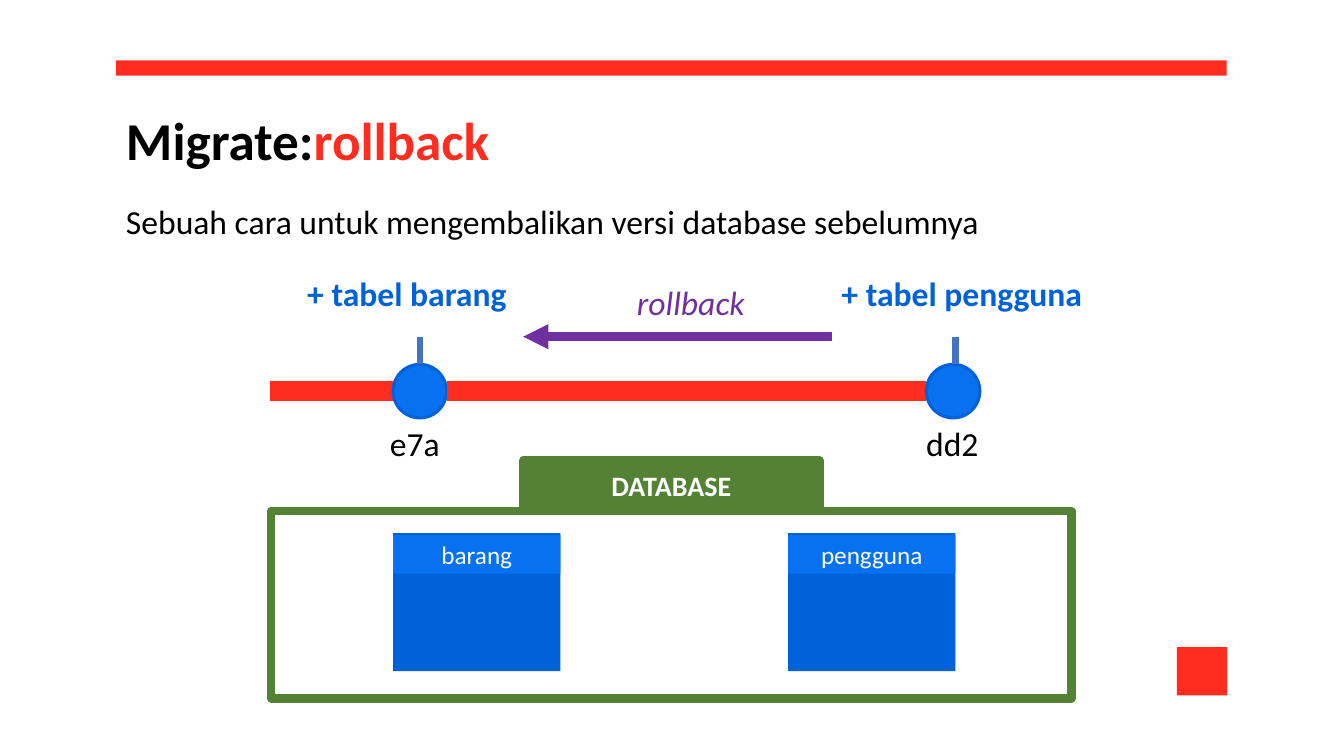
from lxml.etree import SubElement
from pptx import Presentation
from pptx.dml.color import RGBColor
from pptx.enum.shapes import MSO_CONNECTOR as Connector, MSO_SHAPE as Preset
from pptx.enum.text import MSO_ANCHOR as Anchor, MSO_AUTO_SIZE as AutoSize, PP_ALIGN as Align
from pptx.oxml.ns import qn
from pptx.util import Pt

RED = RGBColor(0xFF, 0x2D, 0x20)
BLUE = RGBColor(0x07, 0x71, 0xF1)
DEEP_BLUE = RGBColor(0x00, 0x62, 0xD9)
TICK_BLUE = RGBColor(0x44, 0x72, 0xC4)
GREEN = RGBColor(0x54, 0x82, 0x35)
PURPLE = RGBColor(0x70, 0x30, 0xA0)
BLACK = RGBColor(0, 0, 0)
WHITE = RGBColor(0xFF, 0xFF, 0xFF)

LEFT, WIDTH = 82.8, 793.4
TIMELINE_Y, TIMELINE_START = 279.4, 193
NODE_SIZE = 38.2
NODE_TOP = TIMELINE_Y - NODE_SIZE / 2
TICK_TOP = 240.5
LABEL_HEIGHT = 36
CARD_WIDTH = 119.5

VERSIONS = [
    {"node": 280.8, "tick": 300.2, "change": "+ tabel barang", "change_box": (212.4, 175.7),
     "commit": "e7a", "commit_left": 271.4, "table": "barang", "card": 280.8},
    {"node": 661.7, "tick": 682.6, "change": "+ tabel pengguna", "change_box": (594, 192.2),
     "commit": "dd2", "commit_left": 654.5, "table": "pengguna", "card": 563},
]


def apply_format(target, values):
    for name, value in values.items():
        setattr(target, name, value)


def write(frame, wording, size, align=Align.LEFT, anchor=Anchor.TOP, **style):
    apply_format(frame, {"word_wrap": True, "auto_size": AutoSize.NONE,
                         "vertical_anchor": anchor})
    paragraph = frame.paragraphs[0]
    apply_format(paragraph, {"alignment": align, "space_before": Pt(0)})
    for words, color in wording:
        run = paragraph.add_run()
        run.text = words
        apply_format(run.font, {"name": "Calibri", "size": Pt(size), **style})
        run.font.color.rgb = color
    return paragraph


def place(holder, left, top, width, height):
    apply_format(holder, {"left": Pt(left), "top": Pt(top),
                          "width": Pt(width), "height": Pt(height)})


def add_label(shapes, words, left, top, width, color, **style):
    label = shapes.add_textbox(Pt(left), Pt(top), Pt(width), Pt(LABEL_HEIGHT))
    write(label.text_frame, [(words, color)], 24, **style)


def add_block(shapes, preset, box, fill=None, outline=None, weight=0):
    block = shapes.add_shape(preset, *map(Pt, box))
    block.shadow.inherit = False
    if fill is None:
        block.fill.background()
    else:
        block.fill.solid()
        block.fill.fore_color.rgb = fill
    if outline is None:
        block.line.fill.background()
    else:
        block.line.color.rgb = outline
        block.line.width = Pt(weight)
    if preset == Preset.ROUNDED_RECTANGLE:
        block.adjustments[0] = 0
    return block


def add_stroke(shapes, start, end, color, weight, arrow=False):
    stroke = shapes.add_connector(Connector.STRAIGHT, *map(Pt, start + end))
    stroke.line.color.rgb = color
    stroke.line.width = Pt(weight)
    if arrow:
        SubElement(stroke.line._get_or_add_ln(), qn("a:tailEnd"), type="triangle")
    SubElement(stroke._element.spPr, qn("a:effectLst"))


def add_heading(slide):
    title, summary = slide.placeholders
    place(title, LEFT, 72.7, WIDTH, 53.3)
    write(title.text_frame, [("Migrate:", BLACK), ("rollback", RED)], 38, bold=True)
    place(summary, LEFT, 139.7, 729.4, LABEL_HEIGHT)
    sentence = write(summary.text_frame, [
        ("Sebuah cara untuk mengembalikan versi database sebelumnya", BLACK)], 24)
    properties = sentence._p.get_or_add_pPr()
    properties.set("marL", "0")
    properties.set("indent", "0")
    SubElement(properties, qn("a:buNone"))


def add_version(shapes, version, line_start):
    node = version["node"]
    add_stroke(shapes, (line_start, TIMELINE_Y), (node, TIMELINE_Y), RED, 14.25)
    add_block(shapes, Preset.OVAL, (node, NODE_TOP, NODE_SIZE, NODE_SIZE),
              BLUE, DEEP_BLUE, 2.25)
    add_stroke(shapes, (version["tick"], TICK_TOP), (version["tick"], NODE_TOP), TICK_BLUE, 4.5)
    change_left, change_width = version["change_box"]
    add_label(shapes, version["change"], change_left, 191.5, change_width, DEEP_BLUE, bold=True)
    add_label(shapes, version["commit"], version["commit_left"], 298.8, 56.9, BLACK)
    return node + NODE_SIZE


def add_table_card(shapes, name, left):
    card = shapes.add_group_shape().shapes
    add_block(card, Preset.ROUNDED_RECTANGLE, (left, 380.9, CARD_WIDTH, 98.6), DEEP_BLUE)
    header = add_block(card, Preset.ROUNDED_RECTANGLE, (left, 382.3, CARD_WIDTH, 27.4), BLUE)
    write(header.text_frame, [(name, WHITE)], 18, Align.CENTER, Anchor.MIDDLE)


def add_database(shapes):
    add_block(shapes, Preset.RECTANGLE, (193.7, 365, 571.7, 133.9), None, GREEN, 6)
    for version in VERSIONS:
        add_table_card(shapes, version["table"], version["card"])
    tab = add_block(shapes, Preset.RECTANGLE, (373.7, 329, 211.7, 36), GREEN, GREEN, 6)
    write(tab.text_frame, [("DATABASE", WHITE)], 20, Align.CENTER, Anchor.MIDDLE, bold=True)


def main():
    deck = Presentation()
    apply_format(deck, {"slide_width": Pt(960), "slide_height": Pt(540)})
    slide = deck.slides.add_slide(deck.slide_layouts[1])
    shapes = slide.shapes
    add_heading(slide)
    add_block(shapes, Preset.RECTANGLE, (LEFT, 43.2, WIDTH, 10.8), RED)
    add_block(shapes, Preset.RECTANGLE, (840.6, 462.2, 36, 34.6), RED)
    line_start = TIMELINE_START
    for version in VERSIONS:
        line_start = add_version(shapes, version, line_start)
    add_database(shapes)
    add_stroke(shapes, (594, TICK_TOP), (373.7, TICK_TOP), PURPLE, 6, arrow=True)
    add_label(shapes, "rollback", 447.8, 198, 121, PURPLE, italic=True)
    deck.save("out.pptx")


if __name__ == "__main__":
    main()
